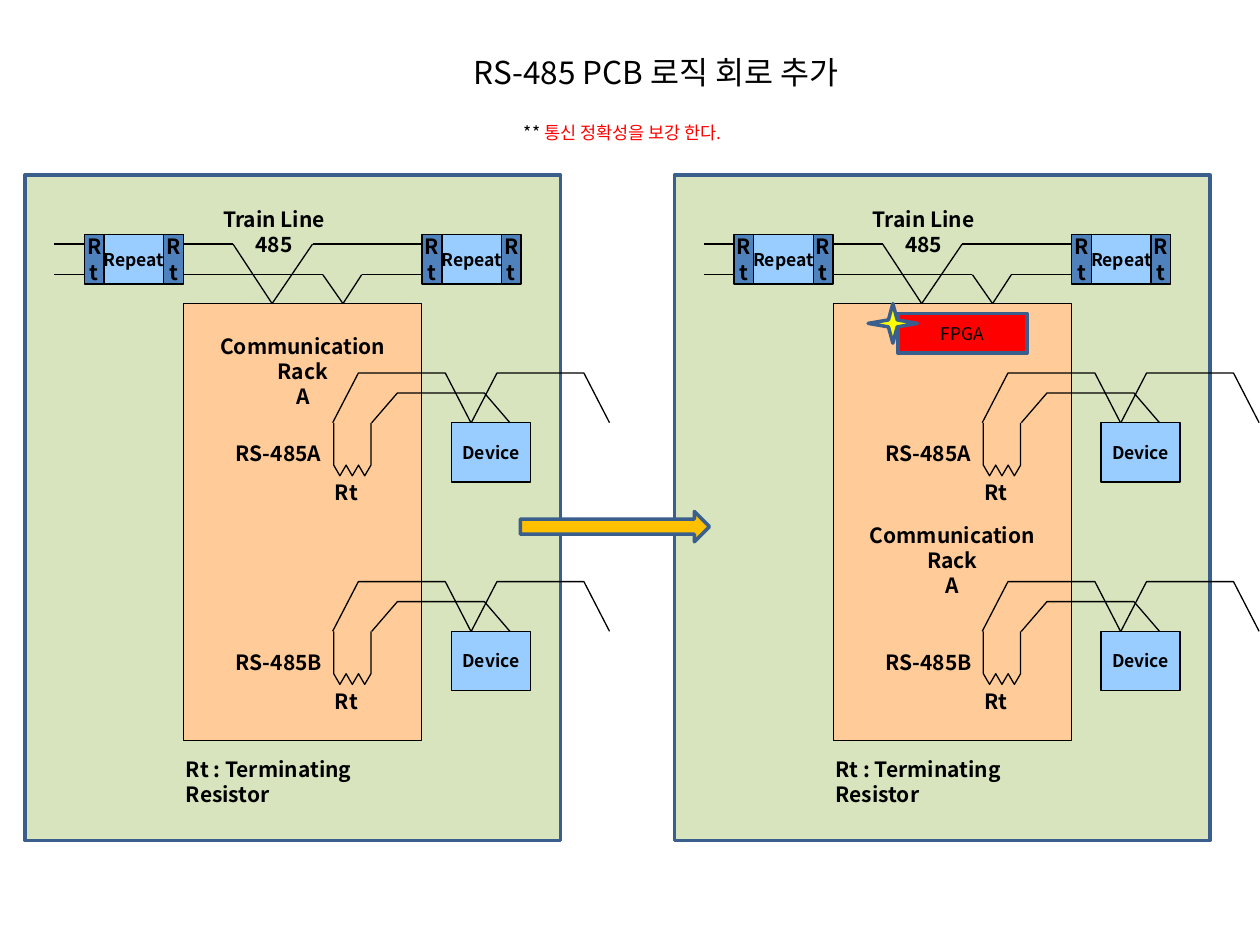
from dataclasses import dataclass
from itertools import pairwise

from pptx import Presentation
from pptx.dml.color import RGBColor
from pptx.enum.shapes import MSO_CONNECTOR as Connector, MSO_SHAPE as Preset
from pptx.enum.text import MSO_ANCHOR as Anchor, PP_ALIGN as Align
from pptx.oxml.ns import qn
from pptx.util import Pt

FONT = "Noto Sans CJK KR"
BLACK = RGBColor(0, 0, 0)
WHITE = RGBColor(255, 255, 255)
RED = RGBColor(255, 0, 0)
YELLOW = RGBColor(255, 255, 0)
AMBER = RGBColor(0xFF, 0xC0, 0x00)
GREEN = RGBColor(0xD7, 0xE4, 0xBD)
PEACH = RGBColor(0xFF, 0xCC, 0x99)
SKY = RGBColor(0x99, 0xCC, 0xFF)
BLUE = RGBColor(0x4F, 0x81, 0xBD)
NAVY = RGBColor(0x3A, 0x5F, 0x8C)

RACK_TOP = 173.5
PANEL_STEP = 371.2


@dataclass(frozen=True)
class Frame:
    left: float
    top: float
    width: float
    height: float

    def shifted(self, dx: float) -> "Frame":
        return Frame(self.left + dx, self.top, self.width, self.height)

    def lengths(self) -> list:
        return [Pt(v) for v in (self.left, self.top, self.width, self.height)]


@dataclass(frozen=True)
class Panel:
    dx: float
    rack_text_inset: float


@dataclass(frozen=True)
class Bus:
    label: str
    top: float


@dataclass(frozen=True)
class Wire:
    start: float
    rise: float


PANELS = [Panel(0, 17), Panel(PANEL_STEP, 125)]
BUSES = [Bus("RS-485A", 241.6), Bus("RS-485B", 360.8)]
WIRES = [Wire(269.3, 28.4), Wire(212.4, 17), Wire(190.1, 28.4)]
TRAIN_LINES = [
    [(31, 139.5), (133.2, 139.5), (155.5, RACK_TOP), (178.6, 139.5), (241.2, 139.5)],
    [(31, 157), (184.5, 157), (196, RACK_TOP), (206.7, 157), (241.2, 157)],
]
REPEATER_LEFTS = [48.2, 241.2]


def format_text(frame, size: float, bold: bool = True, align=Align.CENTER) -> None:
    for para in frame.paragraphs:
        para.alignment = align
        para.line_spacing = Pt(size * 1.2)
        for span in para.runs:
            span.font.size = Pt(size)
            span.font.bold = bold
            span.font.name = FONT
            span.font.color.rgb = BLACK
            east_asian = span.font._element.makeelement(qn("a:ea"), {"typeface": FONT})
            span.font._element.find(qn("a:latin")).addnext(east_asian)


def add_block(page, frame: Frame, fill: RGBColor, text: str = "", size: float = 12,
              preset=Preset.RECTANGLE, line: RGBColor = BLACK, weight: float = 0.75,
              bold: bool = True):
    block = page.shapes.add_shape(preset, *frame.lengths())
    block.shadow.inherit = False
    block.fill.solid()
    block.fill.fore_color.rgb = fill
    block.line.color.rgb = line
    block.line.width = Pt(weight)
    if text:
        content = block.text_frame
        content.text = text
        content.word_wrap = False
        content.vertical_anchor = Anchor.MIDDLE
        content.margin_left = content.margin_right = 0
        content.margin_top = content.margin_bottom = 0
        format_text(content, size, bold)
    return block


def add_label(page, frame: Frame, text: str, size: float = 12, bold: bool = True,
              align=Align.LEFT):
    box = page.shapes.add_textbox(*frame.lengths())
    box.text_frame.word_wrap = True
    box.text_frame.text = text
    format_text(box.text_frame, size, bold, align)
    return box


def add_outline(page, points: list, dx: float) -> None:
    corners = [(Pt(x + dx), Pt(y)) for x, y in points]
    builder = page.shapes.build_freeform(*corners[0])
    builder.add_line_segments(corners[1:], close=False)
    outline = builder.convert_to_shape()
    outline.shadow.inherit = False
    outline.fill.background()
    outline.line.color.rgb = BLACK
    outline.line.width = Pt(0.75)


def add_line(page, start: tuple, end: tuple, dx: float) -> None:
    line = page.shapes.add_connector(Connector.STRAIGHT, Pt(start[0] + dx), Pt(start[1]),
                                     Pt(end[0] + dx), Pt(end[1]))
    line.line.color.rgb = BLACK
    line.line.width = Pt(0.75)
    properties = line._element.spPr
    properties.append(properties.makeelement(qn("a:effectLst"), {}))


def add_bus(page, bus: Bus, dx: float) -> None:
    top = bus.top
    add_block(page, Frame(257.9, top, 45.2, 33.9).shifted(dx), SKY, "Device", 10)
    for wire in WIRES:
        x, high = wire.start, top - wire.rise
        add_outline(page, [(x, top), (x + 14.7, high), (x + 64.4, high), (x + 79, top)], dx)
    # Terminating resistor: two legs joined by a zigzag
    left, step = 190.7, 3.55
    zigzag = [(left + i * step, top + (30.3 if i % 2 else 24.2)) for i in range(7)]
    add_outline(page, [(left, top), *zigzag, (left + 6 * step, top)], dx)
    add_label(page, Frame(184.3, top + 29, 28.4, 21.6).shifted(dx), "Rt")
    add_label(page, Frame(127.5, top + 6.7, 67.7, 21.6).shifted(dx), bus.label)


def add_repeater(page, left: float, dx: float) -> None:
    top, height, end, middle = 134, 28.3, 11.3, 34
    add_block(page, Frame(left + end, top, middle, height).shifted(dx), SKY, "Repeat", 10)
    for x in (left, left + end + middle):
        add_block(page, Frame(x, top, end, height).shifted(dx), BLUE, "R\nt")


def add_panel(page, panel: Panel) -> None:
    dx = panel.dx
    add_block(page, Frame(14.2, 100.1, 306.1, 380.2).shifted(dx), GREEN, line=NAVY, weight=2)
    rack = add_block(page, Frame(105, RACK_TOP, 136.1, 249.6).shifted(dx), PEACH,
                     "Communication\nRack\nA")
    rack.text_frame.vertical_anchor = Anchor.TOP
    rack.text_frame.margin_top = Pt(panel.rack_text_inset)
    for bus in BUSES:
        add_bus(page, bus, dx)
    for train_line in TRAIN_LINES:
        for start, end in pairwise(train_line):
            add_line(page, start, end, dx)
    for left in REPEATER_LEFTS:
        add_repeater(page, left, dx)
    add_label(page, Frame(99.2, 428.7, 151.2, 36).shifted(dx), "Rt : Terminating Resistor")
    add_label(page, Frame(114.1, 114.5, 85, 36).shifted(dx), "Train Line 485",
              align=Align.CENTER)


def main() -> None:
    deck = Presentation()
    deck.slide_width, deck.slide_height = Pt(720), Pt(540)
    page = deck.slides.add_slide(deck.slide_layouts[5])
    page.background.fill.solid()
    page.background.fill.fore_color.rgb = WHITE

    # Title and remark
    title = page.shapes.title
    title.left, title.top, title.width, title.height = Frame(263.5, 26.5, 254.9, 28.8).lengths()
    title.text_frame.text = "RS-485 PCB 로직 회로 추가"
    title.text_frame.vertical_anchor = Anchor.TOP
    format_text(title.text_frame, 18, False, Align.LEFT)
    remark = add_label(page, Frame(292.3, 66.2, 169.9, 19.4), "** ", 10, False)
    remark.text_frame.paragraphs[0].add_run().text = "통신 정확성을 보강 한다."
    format_text(remark.text_frame, 10, False, Align.LEFT)
    remark.text_frame.paragraphs[0].runs[1].font.color.rgb = RED

    # Before and after
    for panel in PANELS:
        add_panel(page, panel)

    # What changes
    add_block(page, Frame(513.2, 179.2, 73.7, 22.6), RED, "FPGA", 10, line=NAVY, weight=2,
              bold=False)
    add_block(page, Frame(297.4, 292.3, 108, 17.3), AMBER, preset=Preset.RIGHT_ARROW,
              line=NAVY, weight=2)
    add_block(page, Frame(496.1, RACK_TOP, 28.3, 22.6), YELLOW, preset=Preset.STAR_4_POINT,
              line=NAVY, weight=2)

    deck.save("out.pptx")


if __name__ == "__main__":
    main()
